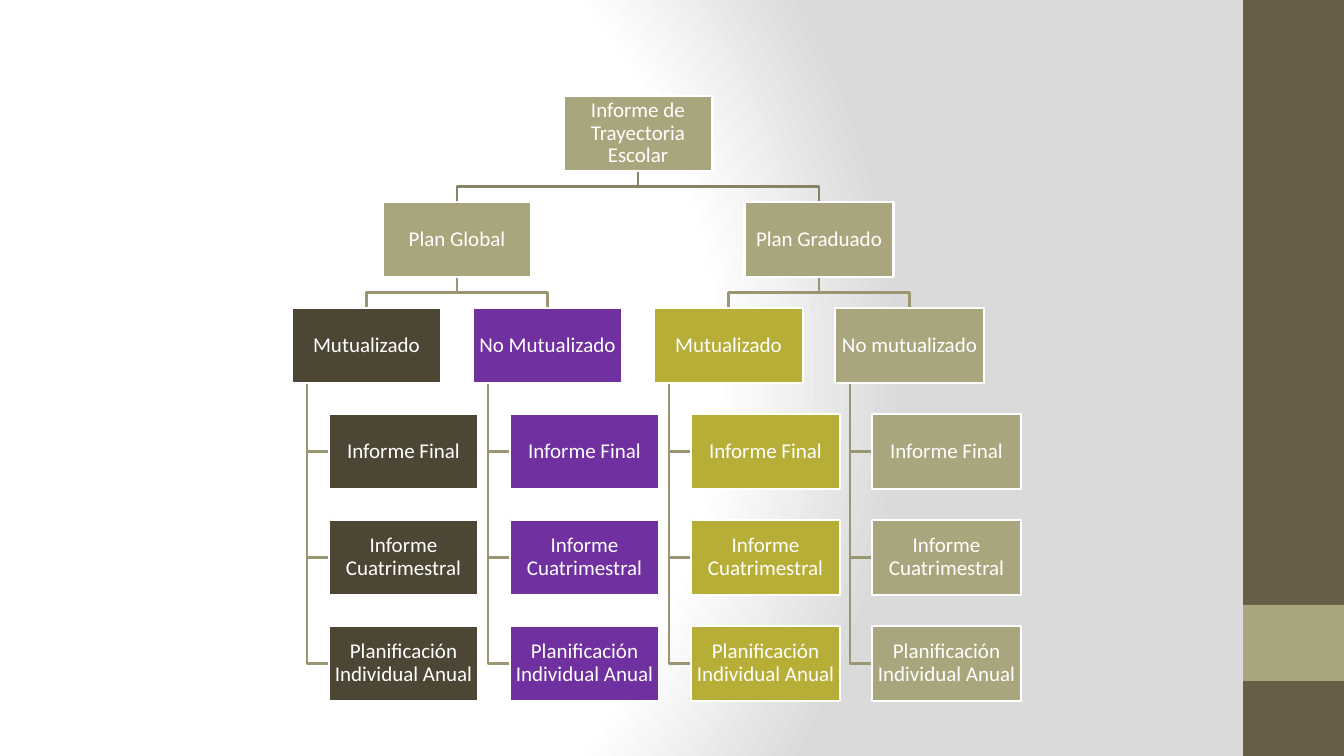
from pptx import Presentation
from pptx import util as u
from pptx.dml.color import RGBColor
from pptx.enum import shapes, text
from pptx.oxml import parse_xml
from pptx.oxml.ns import nsdecls

WHITE = RGBColor(0xFF, 0xFF, 0xFF)
SAND = RGBColor(0xA9, 0xA5, 0x7C)
DARK = RGBColor(0x4D, 0x46, 0x35)
PURPLE = RGBColor(0x70, 0x30, 0xA0)
OLIVE = RGBColor(0xB7, 0xAE, 0x38)
SIDEBAR = RGBColor(0x67, 0x5E, 0x47)
ROOT_LINE = RGBColor(0x87, 0x84, 0x63)
BRANCH_LINE = RGBColor(0x99, 0x96, 0x71)

REPORT = "Informe de Trayectoria Escolar"
PLANS = [
    ("Plan Global", [("Mutualizado", DARK), ("No Mutualizado", PURPLE)]),
    ("Plan Graduado", [("Mutualizado", OLIVE), ("No mutualizado", SAND)]),
]
DOCUMENTS = ["Informe Final", "Informe Cuatrimestral", "Planificación Individual Anual"]

# Lengths in px
PX = 914400 / 100.8
SLIDE_W, SLIDE_H = 1344, 756
BAR_X, BAR_W = 1243, 101
ACCENT_Y, ACCENT_H = 605, 76
LEFT, TOP = 292, 96
BOX_W, BOX_H = 149, 75
COLUMN_STEP, ROW_STEP = 181, 106
DOCUMENT_INDENT, TRUNK_INDENT = 37, 15

BACKGROUND = f"""<p:bg {nsdecls('p', 'a')}><p:bgPr><a:gradFill rotWithShape="1"><a:gsLst>
<a:gs pos="0"><a:srgbClr val="FFFFFF"/></a:gs>
<a:gs pos="75000"><a:srgbClr val="FFFFFF"/></a:gs>
<a:gs pos="100000"><a:srgbClr val="DADADA"/></a:gs></a:gsLst>
<a:path path="circle"><a:fillToRect l="20000" t="50000" r="100000" b="50000"/></a:path>
</a:gradFill><a:effectLst/></p:bgPr></p:bg>"""


def emu(px):
    return round(px * PX)


def row_top(row):
    return TOP + row * ROW_STEP


def add_rect(slide, x, y, width, height, fill):
    rect = slide.shapes.add_shape(
        shapes.MSO_SHAPE.RECTANGLE, emu(x), emu(y), emu(width), emu(height))
    rect.shadow.inherit = False
    rect.fill.solid()
    rect.fill.fore_color.rgb = fill
    rect.line.fill.background()
    return rect


def add_box(slide, label, x, row, fill):
    box = add_rect(slide, x, row_top(row), BOX_W, BOX_H, fill)
    box.line.color.rgb = WHITE
    box.line.width = u.Pt(2)
    frame = box.text_frame
    frame.word_wrap = True
    frame.vertical_anchor = text.MSO_ANCHOR.MIDDLE
    frame.margin_left = frame.margin_right = emu(1)
    frame.margin_top = frame.margin_bottom = emu(1)
    frame.text = label
    paragraph = frame.paragraphs[0]
    paragraph.alignment = text.PP_ALIGN.CENTER
    paragraph.line_spacing = 0.9
    paragraph.font.name = "Calibri"
    paragraph.font.size = u.Pt(15)
    paragraph.font.color.rgb = WHITE


def add_path(slide, points, color):
    start, *rest = [(emu(x), emu(y)) for x, y in points]
    builder = slide.shapes.build_freeform(*start)
    builder.add_line_segments(rest, close=False)
    path = builder.convert_to_shape()
    path.shadow.inherit = False
    path.fill.background()
    path.line.color.rgb = color
    path.line.width = u.Pt(2)


def link_down(slide, parent_x, child_x, parent_row, color):
    """Join a box to one in the next row, turning halfway across the gap."""
    bottom, child_top = row_top(parent_row) + BOX_H, row_top(parent_row + 1)
    middle = (bottom + child_top) / 2
    start, end = parent_x + BOX_W / 2, child_x + BOX_W / 2
    add_path(slide, [(start, bottom), (start, middle), (end, middle), (end, child_top)], color)


def link_document(slide, type_x, row):
    trunk, middle = type_x + TRUNK_INDENT, row_top(row) + BOX_H / 2
    add_path(slide, [(trunk, row_top(2) + BOX_H), (trunk, middle),
                     (type_x + DOCUMENT_INDENT, middle)], BRANCH_LINE)


def main():
    prs = Presentation()
    prs.slide_width, prs.slide_height = emu(SLIDE_W), emu(SLIDE_H)
    slide = prs.slides.add_slide(prs.slide_layouts[6])
    slide._element.cSld.insert(0, parse_xml(BACKGROUND))
    add_rect(slide, BAR_X, 0, BAR_W, SLIDE_H, SIDEBAR)
    add_rect(slide, BAR_X, ACCENT_Y, BAR_W, ACCENT_H, SAND)

    boxes = []
    plan_xs = []
    column = 0
    for plan, types in PLANS:
        type_xs = [LEFT + (column + i) * COLUMN_STEP for i in range(len(types))]
        column += len(types)
        plan_x = sum(type_xs) / len(type_xs)
        plan_xs.append(plan_x)
        boxes.append((plan, plan_x, 1, SAND))
        for (label, color), x in zip(types, type_xs):
            link_down(slide, plan_x, x, 1, BRANCH_LINE)
            boxes.append((label, x, 2, color))
            for row, document in enumerate(DOCUMENTS, start=3):
                link_document(slide, x, row)
                boxes.append((document, x + DOCUMENT_INDENT, row, color))

    report_x = sum(plan_xs) / len(plan_xs)
    for plan_x in plan_xs:
        link_down(slide, report_x, plan_x, 0, ROOT_LINE)
    add_box(slide, REPORT, report_x, 0, SAND)
    for box in boxes:
        add_box(slide, *box)
    prs.save("out.pptx")


if __name__ == "__main__":
    main()
